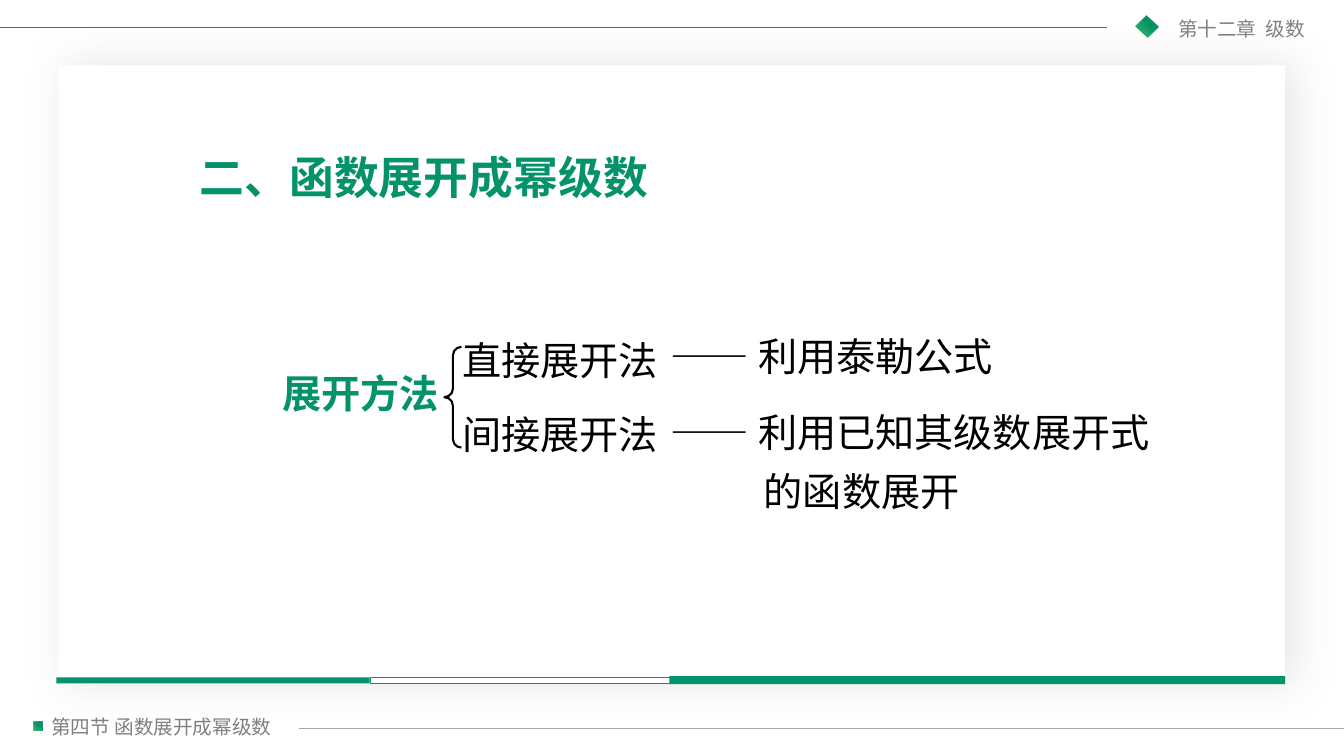
"""Build the slide on expanding functions into power series."""
from lxml.etree import SubElement
from pptx import Presentation
from pptx.dml.color import RGBColor
from pptx.enum.shapes import MSO_CONNECTOR, MSO_SHAPE
from pptx.enum.text import MSO_ANCHOR, MSO_AUTO_SIZE, PP_ALIGN
from pptx.oxml import parse_xml
from pptx.oxml.ns import nsdecls, qn
from pptx.util import Cm, Pt

GREEN = RGBColor(0x04, 0x92, 0x6A)
WHITE = RGBColor(0xFF, 0xFF, 0xFF)
BLACK = RGBColor(0x00, 0x00, 0x00)
GREY = RGBColor(0x80, 0x80, 0x80)
PALE = RGBColor(0xA6, 0xA6, 0xA6)
SANS = "Noto Sans CJK SC"
SERIF = "Times New Roman"
GRAD = f"""<a:gradFill {nsdecls('a')} rotWithShape="1"><a:gsLst>
<a:gs pos="0"><a:srgbClr val="009E47"><a:alpha val="73000"/></a:srgbClr></a:gs>
<a:gs pos="61000"><a:srgbClr val="039463"/></a:gs>
<a:gs pos="100000"><a:srgbClr val="068885"/></a:gs></a:gsLst>
<a:path path="circle"><a:fillToRect t="100000" r="100000"/></a:path></a:gradFill>"""
GLOW = f"""<a:outerShdw {nsdecls('a')} blurRad="393700" dist="88900" dir="0" algn="ctr"
rotWithShape="0"><a:srgbClr val="BFBFBF"><a:alpha val="40000"/></a:srgbClr></a:outerShdw>"""


def add_form(kind, box, fill=None, line=None, width=0.25):
    form = shapes.add_shape(kind, *map(Cm, box))
    form.shadow.inherit = False
    for part, color in ((form.fill, fill), (form.line.fill, line)):
        if color is None:
            part.background()
        else:
            part.solid()
            part.fore_color.rgb = color
    if line is not None:
        form.line.width = Pt(width)
    return form


def set_text(frame, text, look):
    para = frame.paragraphs[0]
    run = para.add_run()
    run.text = text
    for name, value in look.items():
        setattr(run.font, name, value)
    run.font.color.rgb = GREEN if look["bold"] else BLACK
    SubElement(run.font._element, qn("a:ea")).set("typeface", SANS)
    return run


deck = Presentation()
deck.slide_width, deck.slide_height = Cm(33.87), Cm(19.05)
slide = deck.slides.add_slide(deck.slide_layouts[5])
shapes = slide.shapes

for box, turn in (((0.84, 18.19, 0.23, 0.23), 0), ((28.7, 0.48, 0.41, 0.38), 44.3)):
    mark = add_form(MSO_SHAPE.RECTANGLE, box, GREEN)
    mark.rotation = turn
    props = mark.element.spPr
    props.replace(props.find(qn("a:solidFill")), parse_xml(GRAD))

small = {"size": Pt(14), "name": SANS, "bold": False}
for text, box in (("第四节 函数展开成幂级数", (1.04, 17.88, 6.15, 0.86)),
                  ("第十二章  级数", (29.44, 0.3, 3.81, 0.86))):
    label = shapes.add_textbox(*map(Cm, box))
    label.text_frame.word_wrap = False
    set_text(label.text_frame, text, small).font.color.rgb = GREY

for left, right, top, color in ((0, 27.89, 0.69, GREEN), (7.54, 33.87, 18.36, PALE)):
    rule = shapes.add_connector(MSO_CONNECTOR.STRAIGHT, Cm(left), Cm(top), Cm(right), Cm(top))
    rule.line.color.rgb = color
    rule.line.width = Pt(0.5)
    SubElement(rule.element.spPr, qn("a:effectLst"))

card = add_form(MSO_SHAPE.RECTANGLE, (1.47, 1.65, 30.91, 15.57), WHITE)
card.element.spPr.find(qn("a:effectLst")).append(parse_xml(GLOW))
for box, fill, line in (((9.32, 17.07, 7.57, 0.15), WHITE, GREEN),
                        ((1.42, 17.07, 7.9, 0.15), GREEN, None),
                        ((16.87, 17.04, 15.52, 0.2), GREEN, None)):
    add_form(MSO_SHAPE.RECTANGLE, box, fill, line)

title = shapes.title
title.element.getparent().append(title.element)
place = {"left": Cm(4.78), "top": Cm(3.81), "width": Cm(12.7), "height": Cm(1.9)}
for name, value in place.items():
    setattr(title, name, value)
frame = title.text_frame
frame.vertical_anchor = MSO_ANCHOR.TOP
frame.auto_size = MSO_AUTO_SIZE.NONE
frame.paragraphs[0].alignment = PP_ALIGN.LEFT
frame.paragraphs[0].line_spacing = 0.9
set_text(frame, "二、函数展开成幂级数", {"size": Pt(32), "name": SANS, "bold": True})

for text, left, top, width, bold in (
        ("展开方法", 6.86, 9.19, 5.08, True),
        ("直接展开法", 11.4, 8.36, 6.55, False),
        ("—— 利用泰勒公式", 16.66, 8.26, 11.63, False),
        ("间接展开法", 11.4, 10.21, 6.98, False),
        ("—— 利用已知其级数展开式", 16.66, 10.16, 14.35, False),
        ("的函数展开", 19, 11.66, 5.92, False)):
    note = shapes.add_textbox(Cm(left), Cm(top), Cm(width), Cm(1.45))
    note.text_frame.word_wrap = True
    set_text(note.text_frame, text, {"size": Pt(28), "name": SERIF, "bold": bold})

brace = add_form(MSO_SHAPE.LEFT_BRACE, (11.2, 8.74, 0.43, 2.54), None, BLACK, 1.5)
brace.adjustments[0] = 0.5

deck.save("out.pptx")
